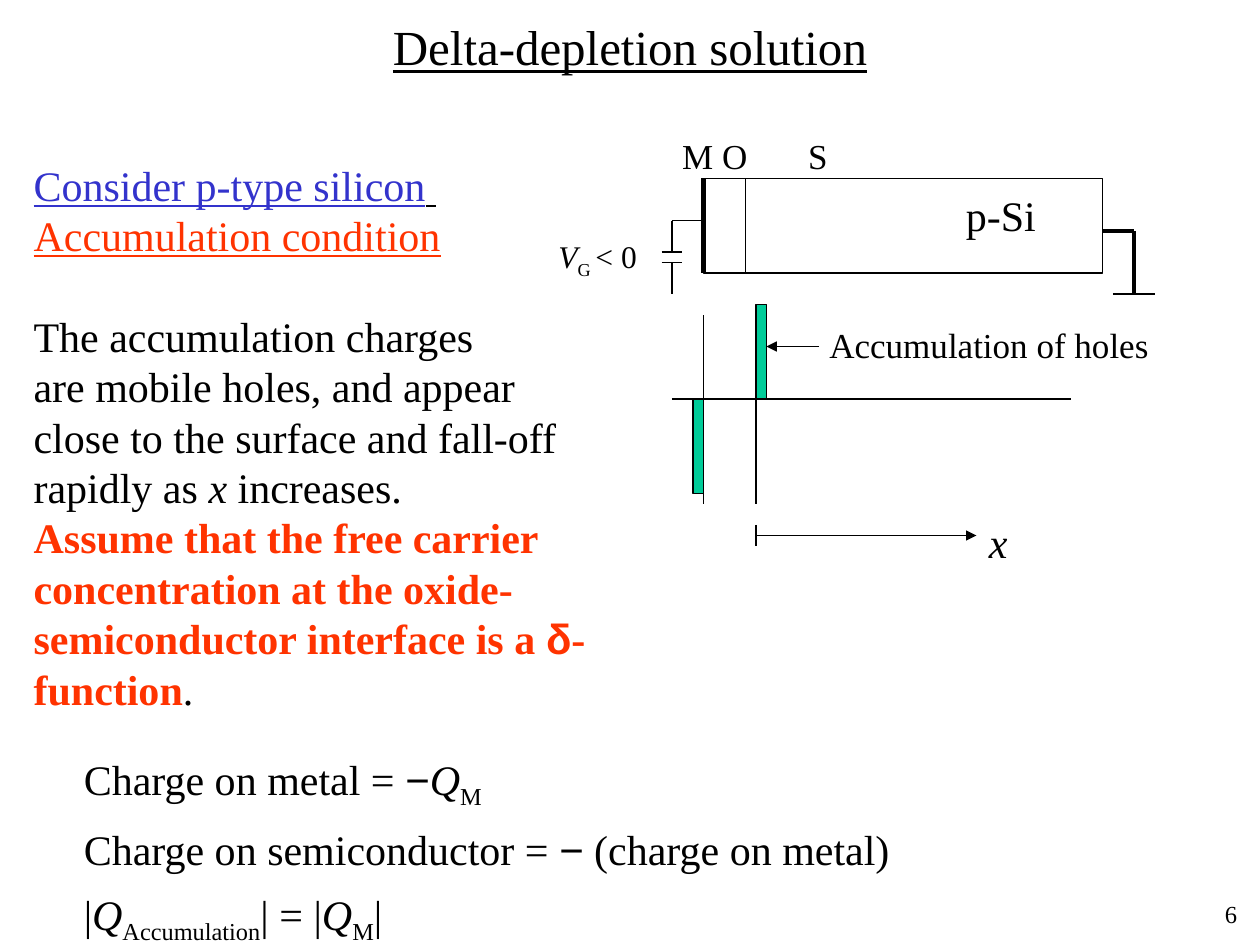
import lxml.etree
import pptx
import pptx.dml.color
import pptx.enum.shapes
import pptx.enum.text
import pptx.oxml.ns
import pptx.util

theme = {
    "ink": "000000", "blue": "3333CC", "red": "FF3300", "charge": "00CC99",
    "face": "Times New Roman", "sign": "Arial",
    "head": 28, "text": 24, "label": 20, "gate": 18, "page": 14,
    "thin": 0.75, "wire": 2.25, "metal": 3,
}
rgb = pptx.dml.color.RGBColor.from_string
qn = pptx.oxml.ns.qn
align = pptx.enum.text.PP_ALIGN

deck = pptx.Presentation()
deck.slide_width = pptx.util.Inches(10)
deck.slide_height = pptx.util.Inches(7.5)
cell = deck.slide_width / 120
slide = deck.slides.add_slide(deck.slide_layouts[1])


def write(shape, area, size, lines, side=align.LEFT, pitch=None):
    shape.left, shape.top, shape.width, shape.height = [int(n * cell) for n in area]
    frame = shape.text_frame
    frame.word_wrap = True
    frame.auto_size = pptx.enum.text.MSO_AUTO_SIZE.SHAPE_TO_FIT_TEXT
    frame.vertical_anchor = pptx.enum.text.MSO_ANCHOR.TOP
    for row, line in enumerate(lines):
        para = frame.paragraphs[0] if row == 0 else frame.add_paragraph()
        props = para._p.get_or_add_pPr()
        props.set("marL", "0")
        props.set("indent", "0")
        lxml.etree.SubElement(props, qn("a:buNone"))
        tabs = lxml.etree.SubElement(props, qn("a:tabLst"))
        lxml.etree.SubElement(tabs, qn("a:tab"), pos=str(int(12 * cell)), algn="l")
        para.alignment = side
        para.space_before = pptx.util.Pt(0)
        if pitch:
            para.line_spacing = pitch
        for text, *marks in line:
            run = para.add_run()
            run.text = text
            font = run.font
            font.size = pptx.util.Pt(theme[size])
            font.name = theme["sign" if "sign" in marks else "face"]
            tint = next((m for m in marks if m in ("blue", "red")), "ink")
            font.color.rgb = rgb(theme[tint])
            font.bold = "bold" in marks
            font.italic = "slant" in marks
            font.underline = "under" in marks
            if "sub" in marks:
                run._r.get_or_add_rPr().set("baseline", "-25000")
    return frame


def draw(shapes, points, width="thin", arrow=False):
    line = shapes.add_connector(
        pptx.enum.shapes.MSO_CONNECTOR.STRAIGHT, *[int(n * cell) for n in points])
    line.line.color.rgb = rgb(theme["ink"])
    line.line.width = pptx.util.Pt(theme[width])
    props = line._element.spPr
    lxml.etree.SubElement(props, qn("a:effectLst"))
    if arrow:
        lxml.etree.SubElement(props.find(qn("a:ln")), qn("a:tailEnd"), type="triangle")


page = slide.shapes.add_textbox(0, 0, 0, 0)
write(page, (94, 85, 25, 4), "page", [[("6",)]], side=align.RIGHT)
write(slide.shapes.title, (9, 1, 102, 6.8), "head",
      [[("Delta-depletion solution", "under")]], side=align.CENTER)

body = write(slide.placeholders[1], (2, 14.55, 60, 54), "text", [
    [("Consider p-type silicon", "blue", "under"), (" ", "under")],
    [("Accumulation condition", "red", "under")],
    [("The accumulation charges",)],
    [("are mobile holes, and appear",)],
    [("close to the surface and fall-off",)],
    [("rapidly as ",), ("x", "slant"), (" increases.",)],
    [("Assume that the free carrier concentration at the oxide-semiconductor interface is a ",
      "red", "bold"),
     ("δ", "red", "bold", "sign"), ("-function", "red", "bold"), (".",)],
])
body.paragraphs[2].space_before = pptx.util.Pt(1.2 * theme["text"])

mos = slide.shapes.add_group_shape().shapes
plot = slide.shapes.add_group_shape().shapes

for group, area, fill in [
    (mos, (67, 17, 38, 9), None),
    (plot, (66, 38, 1, 9), "charge"),
    (plot, (72, 29, 1, 9), "charge"),
]:
    rect = group.add_shape(
        pptx.enum.shapes.MSO_SHAPE.RECTANGLE, *[int(n * cell) for n in area])
    rect.shadow.inherit = False
    rect.line.color.rgb = rgb(theme["ink"])
    rect.line.width = pptx.util.Pt(theme["thin"])
    if fill:
        rect.fill.solid()
        rect.fill.fore_color.rgb = rgb(theme[fill])
    else:
        rect.fill.background()

for points, width in [
    ((67, 17, 67, 26), "metal"),
    ((71, 17, 71, 26), "thin"),
    ((64, 21, 67, 21), "thin"),
    ((64, 21, 64, 24), "thin"),
    ((63, 24, 65, 24), "thin"),
    ((63, 25, 65, 25), "thin"),
    ((64, 25, 64, 28), "thin"),
    ((105, 22, 108, 22), "wire"),
    ((108, 22, 108, 28), "wire"),
    ((106, 28, 110, 28), "thin"),
]:
    draw(mos, points, width)

for col in (67, 72):
    draw(plot, (col, 30, col, 48))
draw(plot, (64, 38, 102, 38))
draw(plot, (78, 33, 73, 33), arrow=True)
draw(slide.shapes, (72, 51, 93, 51), arrow=True)
draw(slide.shapes, (72, 50, 72, 52))

for group, area, size, line in [
    (slide.shapes, (63.8, 12.25, 18, 5.25), "label", [("M O \tS",)]),
    (mos, (52, 22, 11.2, 5.25), "gate", [("V", "slant"), ("G ", "sub"), ("< 0",)]),
    (mos, (90.8, 17.5, 10.5, 6), "text", [("p-Si",)]),
    (plot, (77.8, 30.25, 34.5, 5.25), "label", [("Accumulation of holes",)]),
    (slide.shapes, (93, 48.6, 5, 6), "text", [("x", "slant")]),
]:
    box = group.add_textbox(*[int(n * cell) for n in area])
    write(box, area, size, [line])

sums = slide.shapes.add_textbox(0, 0, 0, 0)
write(sums, (6.8, 69.8, 87.2, 20.9), "text", [
    [("Charge on metal = ",), ("−", "sign"), ("Q", "slant"), ("M", "sub")],
    [("Charge on semiconductor = ",), ("−", "sign"), (" (charge on metal)",)],
    [("|",), ("Q", "slant"), ("Accumulation", "sub"), ("| = |",),
     ("Q", "slant"), ("M", "sub"), ("|",)],
], pitch=1.25)

deck.save("out.pptx")
